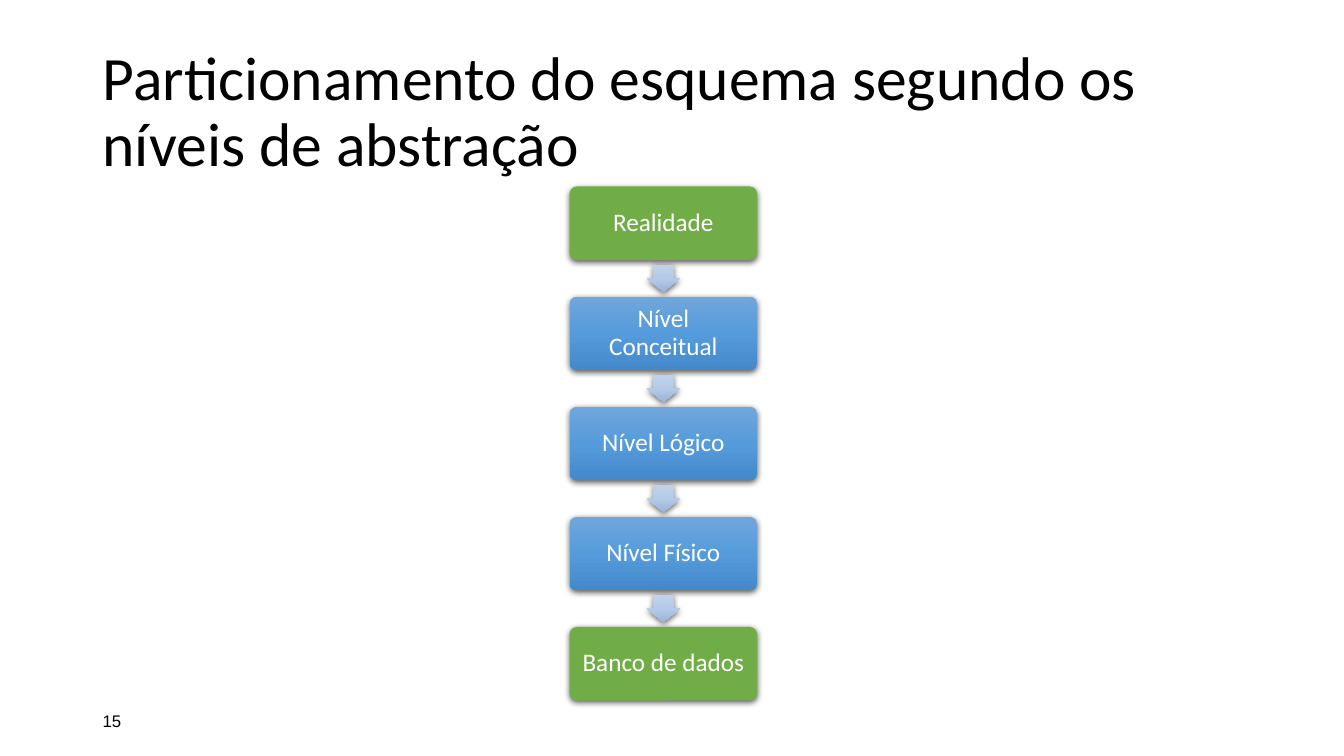
from lxml import etree
from pptx import Presentation
from pptx.dml.color import RGBColor
from pptx.enum.shapes import MSO_SHAPE
from pptx.enum.text import MSO_ANCHOR, PP_ALIGN
from pptx.oxml import parse_xml
from pptx.oxml.ns import nsdecls, qn
from pptx.util import Inches, Pt

ROUNDED, DOWN_ARROW = MSO_SHAPE.ROUNDED_RECTANGLE, MSO_SHAPE.DOWN_ARROW
MIDDLE, CENTER, LEFT = MSO_ANCHOR.MIDDLE, PP_ALIGN.CENTER, PP_ALIGN.LEFT

BLACK = RGBColor(0x00, 0x00, 0x00)
WHITE = RGBColor(0xFF, 0xFF, 0xFF)
GREEN = [RGBColor(0x70, 0xAD, 0x47)]
BLUE = [RGBColor(0x71, 0xA6, 0xDB), RGBColor(0x55, 0x9B, 0xDB), RGBColor(0x44, 0x8A, 0xCA)]
PALE_BLUE = [RGBColor(0xC0, 0xD2, 0xEB), RGBColor(0xB3, 0xCB, 0xE9), RGBColor(0x9B, 0xB4, 0xD3)]

TITLE = "Particionamento do esquema segundo os níveis de abstração"
PAGE_NUMBER = "15"
LEVELS = [
    ("Realidade", GREEN),
    ("Nível Conceitual", BLUE),
    ("Nível Lógico", BLUE),
    ("Nível Físico", BLUE),
    ("Banco de dados", GREEN),
]

# Lengths in inches
BOX_LEFT, BOX_TOP, BOX_W, BOX_H = 5.65, 1.85, 1.86, 0.73
LAST_TOP = 6.22
STEP = (LAST_TOP - BOX_TOP) / (len(LEVELS) - 1)
ARROW_W, ARROW_H = 0.33, 0.27
BOX_INSET = 0.09


def write(s, text, size, font, color, align=LEFT, spacing=1.0):
    """Put one styled, vertically centred paragraph in a shape."""
    tf = s.text_frame
    tf.word_wrap = True
    tf.vertical_anchor = MIDDLE
    tf.text = text
    p = tf.paragraphs[0]
    p.alignment = align
    p.line_spacing = spacing
    r = p.runs[0]
    r.font.size = Pt(size)
    r.font.name = font
    r.font.color.rgb = color


def add_text(slide, box, *style, **layout):
    """Add a text box at (left, top, width, height)."""
    write(slide.shapes.add_textbox(*map(Inches, box)), *style, **layout)


def paint(s, colors):
    """Fill with one colour, or with an even top-to-bottom gradient."""
    if len(colors) == 1:
        s.fill.solid()
        s.fill.fore_color.rgb = colors[0]
        return
    s.fill.gradient()
    s.fill.gradient_angle = 270
    stops = s._element.spPr.find(".//" + qn("a:gsLst"))
    for old in list(stops):
        stops.remove(old)
    for i, color in enumerate(colors):
        stop = etree.SubElement(stops, qn("a:gs"), pos=str(100000 * i // (len(colors) - 1)))
        etree.SubElement(stop, qn("a:srgbClr"), val=str(color))


def add_shadow(s):
    """Add a soft shadow falling straight down."""
    s.shadow.inherit = False
    s._element.spPr.find(qn("a:effectLst")).append(parse_xml(
        f'<a:outerShdw {nsdecls("a")} blurRad="{Pt(4.5)}" dist="{Pt(1.5)}" dir="5400000"'
        ' algn="ctr" rotWithShape="0"><a:srgbClr val="000000"><a:alpha val="63000"/>'
        '</a:srgbClr></a:outerShdw>'))


def add_part(slide, kind, box, adjustments, colors):
    """Add a borderless preset shape with fill and shadow."""
    s = slide.shapes.add_shape(kind, *map(Inches, box))
    for i, value in enumerate(adjustments):
        s.adjustments[i] = value
    paint(s, colors)
    s.line.fill.background()
    add_shadow(s)
    return s


def add_level(slide, top, label, colors):
    """Add the labelled box of one abstraction level."""
    s = add_part(slide, ROUNDED, (BOX_LEFT, top, BOX_W, BOX_H), [0.1], colors)
    tf = s.text_frame
    tf.margin_left = tf.margin_right = tf.margin_top = tf.margin_bottom = Inches(BOX_INSET)
    write(s, label, 18, "Calibri", WHITE, align=CENTER, spacing=0.9)


def add_arrow(slide, box_top):
    """Add the arrow centred in the gap below a level."""
    left = BOX_LEFT + (BOX_W - ARROW_W) / 2
    top = box_top + (BOX_H + STEP - ARROW_H) / 2
    add_part(slide, DOWN_ARROW, (left, top, ARROW_W, ARROW_H), [0.6, 0.5], PALE_BLUE)


prs = Presentation()
prs.slide_width, prs.slide_height = Inches(13.33), Inches(7.5)
slide = prs.slides.add_slide(prs.slide_layouts[6])

add_text(slide, (0.92, 0.4, 11.5, 1.45), TITLE, 44, "Calibri", BLACK, spacing=0.9)
add_text(slide, (0.92, 6.95, 3, 0.4), PAGE_NUMBER, 12, "Arial", BLACK)

for i, (label, colors) in enumerate(LEVELS):
    top = BOX_TOP + i * STEP
    add_level(slide, top, label, colors)
    if i < len(LEVELS) - 1:
        add_arrow(slide, top)

prs.save("out.pptx")
